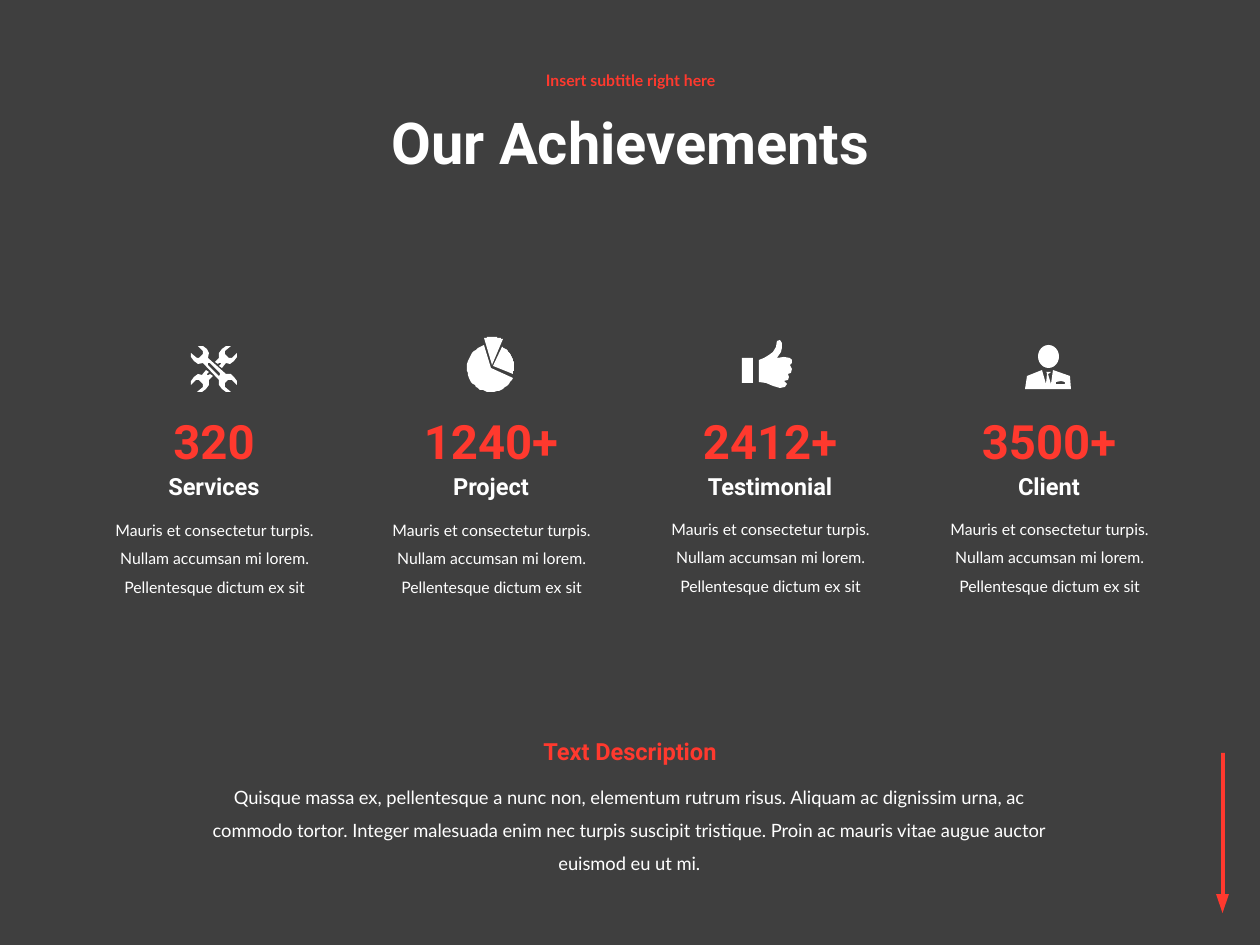
from math import cos, radians, sin

from lxml.etree import SubElement
from pptx import Presentation
from pptx.dml.color import RGBColor
from pptx.enum.shapes import MSO_SHAPE
from pptx.enum.text import MSO_ANCHOR, MSO_AUTO_SIZE, PP_ALIGN
from pptx.oxml.ns import qn
from pptx.util import Pt

EMU_PER_PX = 914400 / 126
DARK, RED, WHITE = "3F3F3F", "FF392E", "FFFFFF"
BLURB = ("Mauris et consectetur turpis. Nullam accumsan mi lorem. "
         "Pellentesque dictum ex sit")
DESCRIPTION = ("Quisque massa ex, pellentesque a nunc non, elementum rutrum risus. "
               "Aliquam ac dignissim urna, ac commodo tortor. Integer malesuada enim "
               "nec turpis suscipit tristique. Proin ac mauris vitae augue auctor "
               "euismod eu ut mi.")

# (centre, number, number width, label, label width, blurb top)
ACHIEVEMENTS = [
    (214, "320", 192, "Services", 176, 505),
    (491, "1240+", 222, "Project", 176, 505),
    (770, "2412+", 222, "Testimonial", 230, 504),
    (1049, "3500+", 222, "Client", 176, 504),
]

WRENCH = [(234, 377), (231, 374), (226, 374), (208, 358), (209, 353), (207, 349),
          (203, 346), (198, 346), (203, 351), (203, 354), (199, 358), (197, 358),
          (191, 353), (191, 357), (194, 361), (198, 364), (203, 363), (219, 380),
          (219, 385), (222, 389), (226, 392), (231, 392), (225, 387), (225, 383),
          (228, 380), (232, 380), (237, 385), (237, 381)]
WRENCH_SLOT = [(220, 375), (219, 376), (208, 365), (208, 363), (210, 363), (220, 373)]
WRENCH_HEAD = [(218, 364), (219, 363), (221, 363), (221, 364), (219, 366), (222, 368),
               (226, 363), (230, 364), (234, 361), (237, 357), (237, 353), (232, 358),
               (229, 358), (225, 354), (225, 351), (231, 346), (226, 346), (222, 349),
               (219, 353), (219, 358), (215, 362)]
THUMB = [(790, 358), (784, 357), (777, 358), (781, 352), (782, 348), (782, 343),
         (780, 340), (777, 341), (776, 347), (773, 352), (769, 355), (764, 358),
         (759, 360), (759, 382), (766, 383), (773, 386), (780, 388), (785, 387),
         (787, 384), (784, 381), (788, 380), (789, 377), (788, 374), (791, 373),
         (792, 369), (790, 365), (792, 363), (792, 360)]
SUIT = [(1070, 376), (1053, 370), (1051, 384), (1048, 374), (1050, 373), (1051, 372),
        (1046, 372), (1047, 373), (1047, 374), (1046, 384), (1042, 370), (1027, 376),
        (1025, 389), (1071, 389)]
POCKET = [(1065, 384), (1056, 384), (1056, 382), (1061, 381), (1065, 382)]


def px(n):
    return round(n * EMU_PER_PX)


def rgb(value):
    return RGBColor.from_string(value)


def place(shape, x, y, w, h):
    shape.left, shape.top, shape.width, shape.height = map(px, (x, y, w, h))


def paint(shape, color):
    shape.shadow.inherit = False
    shape.fill.solid()
    shape.fill.fore_color.rgb = rgb(color)
    shape.line.fill.background()


def add_preset(s, kind, x, y, w, h, color):
    shape = s.shapes.add_shape(kind, px(x), px(y), px(w), px(h))
    paint(shape, color)
    return shape


def add_outline(s, *contours):
    builder = s.shapes.build_freeform(*contours[0][0], scale=EMU_PER_PX)
    builder.add_line_segments(contours[0][1:])
    for contour in contours[1:]:
        builder.move_to(*contour[0])
        builder.add_line_segments(contour[1:])
    paint(builder.convert_to_shape(), WHITE)


def add_sector(s, x, y, radius, start, end):
    steps = 40
    angles = [radians(start + (end - start) * i / steps) for i in range(steps + 1)]
    add_outline(s, [(x, y)] + [(x + radius * cos(a), y + radius * sin(a)) for a in angles])


def write(shape, text, size, font, color, bold=False, spacing=None):
    tf = shape.text_frame
    tf.word_wrap = True
    p = tf.paragraphs[0]
    p.alignment = PP_ALIGN.CENTER
    p.line_spacing = spacing
    r = p.add_run()
    r.text = text
    r.font.size, r.font.name, r.font.bold = Pt(size), font, bold
    r.font.color.rgb = rgb(color)


def add_text(s, x, y, w, h, *style, **options):
    box = s.shapes.add_textbox(px(x), px(y), px(w), px(h))
    write(box, *style, **options)
    box.text_frame.auto_size = MSO_AUTO_SIZE.SHAPE_TO_FIT_TEXT


def fill_placeholder(sp, x, y, w, h, *style):
    place(sp, x, y, w, h)
    write(sp, *style, bold=True, spacing=0.9)
    sp.text_frame.vertical_anchor = MSO_ANCHOR.MIDDLE
    sp.text_frame.auto_size = MSO_AUTO_SIZE.NONE
    sp.text_frame.paragraphs[0].space_before = Pt(0)


def add_band(s):
    band = add_preset(s, MSO_SHAPE.RECTANGLE, 0, 243, 1260, 446, DARK)
    color = band.fill._xPr.find(qn("a:solidFill"))[0]
    SubElement(color, qn("a:alpha"), val="85000")


def add_down_arrow(s):
    add_preset(s, MSO_SHAPE.RECTANGLE, 1221, 753, 4, 141, RED)
    add_preset(s, MSO_SHAPE.ISOSCELES_TRIANGLE, 1216, 894, 13, 19, RED).rotation = 180


def add_icons(s):
    add_outline(s, WRENCH, WRENCH_SLOT)
    add_outline(s, WRENCH_HEAD)
    add_outline(s, [(428 - x, 738 - y) for x, y in WRENCH_HEAD])
    add_sector(s, 493, 366, 21, -65, 21)
    add_sector(s, 491, 368, 24, 25, 253)
    add_sector(s, 492, 365, 28, -107, -67)
    add_outline(s, THUMB)
    add_preset(s, MSO_SHAPE.RECTANGLE, 742, 358, 11, 25, WHITE)
    add_outline(s, SUIT, POCKET)
    add_preset(s, MSO_SHAPE.OVAL, 1038, 345, 21, 23, WHITE)


def add_achievement(s, center, number, number_w, label, label_w, blurb_top):
    add_text(s, center - label_w // 2, 466, label_w, 42, label, 13.5, "Roboto", WHITE, bold=True)
    add_text(s, center - number_w // 2, 406, number_w, 71, number, 27, "Roboto", RED, bold=True)
    add_text(s, center - 123, blurb_top, 247, 96, BLURB, 9, "Lato", WHITE, spacing=1.5)


def main():
    prs = Presentation()
    prs.slide_width, prs.slide_height = px(1260), px(945)
    s = prs.slides.add_slide(prs.slide_layouts[0])
    s.background.fill.solid()
    s.background.fill.fore_color.rgb = rgb(DARK)
    fill_placeholder(s.shapes.title, 276, 81, 709, 130, "Our Achievements", 33, "Roboto", WHITE)
    fill_placeholder(s.placeholders[1], 276, 57, 709, 48,
                     "Insert subtitle right here", 9, "Lato", RED)
    add_band(s)
    add_down_arrow(s)
    add_icons(s)
    for achievement in ACHIEVEMENTS:
        add_achievement(s, *achievement)
    add_text(s, 181, 769, 897, 76, DESCRIPTION, 10.5, "Lato", WHITE, spacing=1.5)
    add_text(s, 492, 731, 276, 42, "Text Description", 13.5, "Roboto", RED, bold=True)
    prs.save("out.pptx")


if __name__ == "__main__":
    main()
